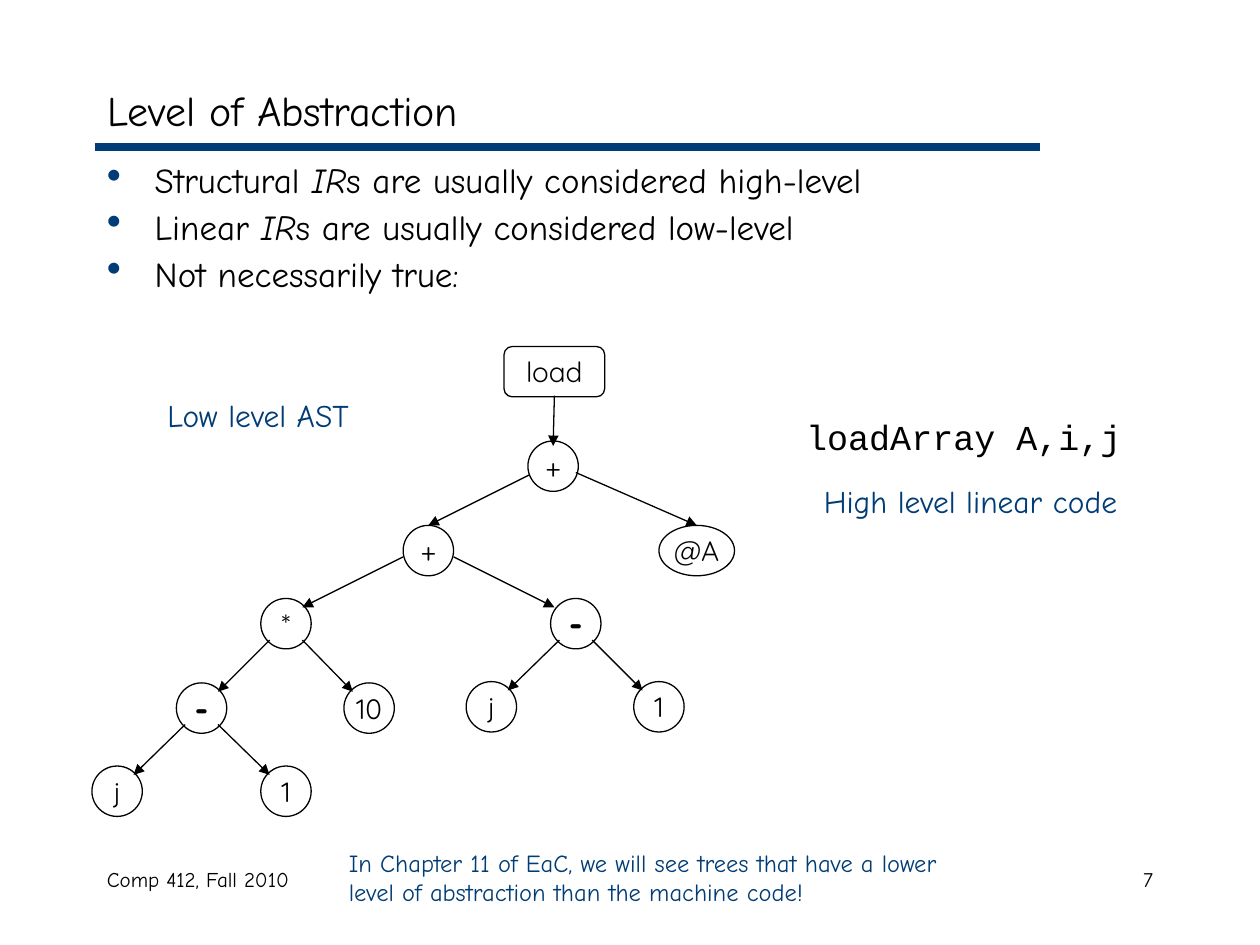
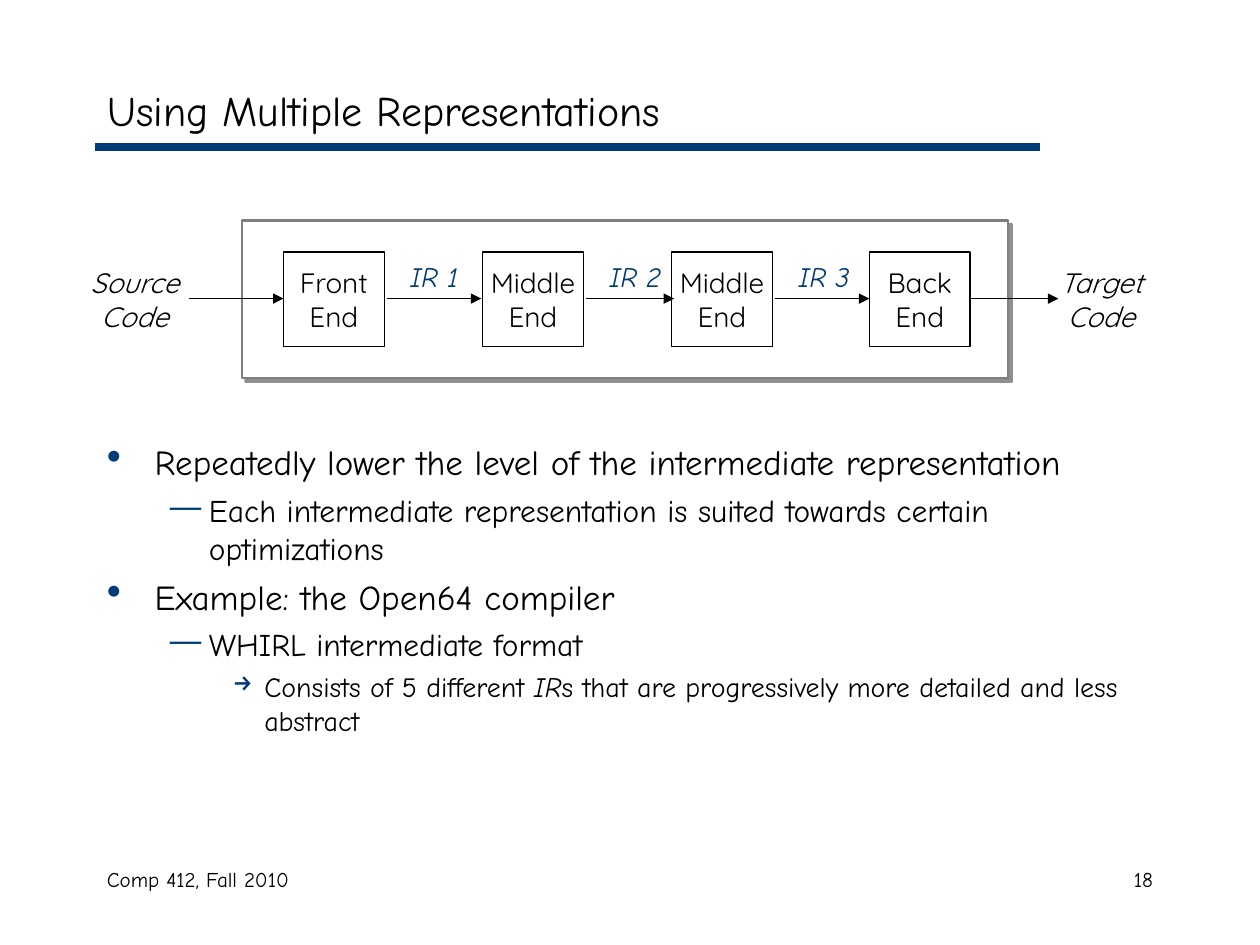
import lxml.etree
import pptx
import pptx.dml.color
import pptx.enum.shapes
import pptx.enum.text
import pptx.oxml.ns
import pptx.util

Inches = pptx.util.Inches
Pt = pptx.util.Pt
Shape = pptx.enum.shapes.MSO_SHAPE
Align = pptx.enum.text.PP_ALIGN
Anchor = pptx.enum.text.MSO_ANCHOR

INK, NAVY, GREY, WHITE = "000000", "003C75", "7F7F7F", "FFFFFF"
PROSE, LABEL, CODE = "Comic Neue", "Quicksand", "Courier New"

BULLETS = [
    dict(char="•", percent=120, margin=0.38, hang=0.38, size=20, before=5),
    dict(char="—", percent=100, margin=0.81, hang=0.31, size=18, before=4.5),
    dict(char="→", percent=90, margin=1.25, hang=0.25, size=16, before=4),
]


def color(code):
    """Turn a hex string into a colour."""
    return pptx.dml.color.RGBColor.from_string(code)


def apply(target, **values):
    """Set each given attribute on the target."""
    for name, value in values.items():
        setattr(target, name, value)


def child(parent, tag, **attributes):
    """Append a drawing element to the parent."""
    values = {name: str(value) for name, value in attributes.items()}
    return lxml.etree.SubElement(parent, pptx.oxml.ns.qn(tag), values)


class Deck:
    """Hold the shared style and the current slide."""

    def __init__(self):
        """Start an empty presentation."""
        self.file = pptx.Presentation()
        apply(self.file, slide_width=Inches(10), slide_height=Inches(7.5))
        self.slide = None

    def start(self, heading, number):
        """Add a slide with its title, rule and footer."""
        self.slide = self.file.slides.add_slide(self.file.slide_layouts[5])
        self.arrow((0.75, 1.17), (8.25, 1.17), NAVY, 4.5, head=False)
        self.text("Comp 412, Fall 2010", 0.75, 6.83, 3.17, 0.5, size=12)
        self.text(str(number), 7.17, 6.83, 2.08, 0.5, size=12, align=Align.RIGHT)
        title = self.slide.shapes.title
        apply(title, left=Inches(0.75), top=Inches(0.58),
              width=Inches(8.5), height=Inches(0.58))
        self.fill_frame(title.text_frame, heading, size=24, anchor=Anchor.MIDDLE)

    def add_runs(self, paragraph, content, size, font, ink):
        """Write content, with parts between underscores in italics."""
        for index, part in enumerate(content.split("_")):
            if part:
                run = paragraph.add_run()
                run.text = part
                apply(run.font, name=font, size=Pt(size), bold=False, italic=index % 2 == 1)
                run.font.color.rgb = color(ink)

    def fill_frame(self, frame, content, size=16, font=PROSE, ink=INK, bold=False,
                   align=Align.LEFT, anchor=Anchor.TOP, wrap=True):
        """Write each line of content as a paragraph."""
        apply(frame, word_wrap=wrap, vertical_anchor=anchor,
              auto_size=pptx.enum.text.MSO_AUTO_SIZE.NONE)
        for index, line in enumerate(content.split("\n")):
            paragraph = frame.add_paragraph() if index else frame.paragraphs[0]
            paragraph.alignment = align
            self.add_runs(paragraph, line, size, font, ink)
            for run in paragraph.runs:
                run.font.bold = bold

    def text(self, content, left, top, width, height, **style):
        """Add a text box."""
        box = self.slide.shapes.add_textbox(*map(Inches, (left, top, width, height)))
        self.fill_frame(box.text_frame, content, **style)

    def bullets(self, items, top, height, spacing=1.0):
        """Add a bulleted list of (level, content) items."""
        box = self.slide.shapes.add_textbox(*map(Inches, (0.75, top, 8.5, height)))
        box.text_frame.word_wrap = True
        for index, (level, content) in enumerate(items):
            kind = BULLETS[level]
            paragraph = box.text_frame.add_paragraph() if index else box.text_frame.paragraphs[0]
            layout = paragraph._p.get_or_add_pPr()
            layout.set("marL", str(Inches(kind["margin"])))
            layout.set("indent", str(-Inches(kind["hang"])))
            child(child(layout, "a:buClr"), "a:srgbClr", val=NAVY)
            child(layout, "a:buSzPct", val=kind["percent"] * 1000)
            child(layout, "a:buChar", char=kind["char"])
            apply(paragraph, level=level, line_spacing=spacing,
                  space_before=Pt(kind["before"] if index else 0))
            self.add_runs(paragraph, content, kind["size"], PROSE, INK)

    def shape(self, form, left, top, width, height, content="", fill=None,
              edge=INK, weight=0.75, **style):
        """Add an outlined shape with centred text."""
        item = self.slide.shapes.add_shape(form, *map(Inches, (left, top, width, height)))
        item.shadow.inherit = False
        if fill:
            item.fill.solid()
            item.fill.fore_color.rgb = color(fill)
        else:
            item.fill.background()
        item.line.color.rgb = color(edge)
        item.line.width = Pt(weight)
        if content:
            apply(item.text_frame, margin_left=0, margin_right=0, margin_top=0, margin_bottom=0)
            self.fill_frame(item.text_frame, content, font=LABEL, align=Align.CENTER,
                            anchor=Anchor.MIDDLE, wrap=False, **style)
        return item

    def panel(self, left, top, width, height):
        """Add a white panel with a hard shadow."""
        item = self.shape(Shape.RECTANGLE, left, top, width, height,
                          fill=WHITE, edge=GREY, weight=1.5)
        effects = item.element.spPr.find(pptx.oxml.ns.qn("a:effectLst"))
        shadow = child(effects, "a:outerShdw", blurRad=0, dist=Pt(3),
                       dir=45 * 60000, algn="ctr", rotWithShape=0)
        child(child(shadow, "a:srgbClr", val=INK), "a:alpha", val=43000)

    def arrow(self, begin, end, ink=INK, weight=0.75, head=True):
        """Add a straight line, with an arrowhead unless told otherwise."""
        line = self.slide.shapes.add_connector(
            pptx.enum.shapes.MSO_CONNECTOR.STRAIGHT, *map(Inches, (*begin, *end)))
        line.line.color.rgb = color(ink)
        line.line.width = Pt(weight)
        properties = line.element.spPr
        if head:
            child(properties.find(pptx.oxml.ns.qn("a:ln")), "a:tailEnd", type="triangle")
        child(properties, "a:effectLst")

    def edge(self, parent, descendant, leave, reach):
        """Point from a tree node to its child, mirrored by side."""
        side = 1 if descendant[0] > parent[0] else -1
        self.arrow((parent[0] + side * leave[0], parent[1] + leave[1]),
                   (descendant[0] - side * reach[0], descendant[1] - reach[1]))


def abstraction_slide(deck):
    """Build the slide on levels of abstraction."""
    deck.start("Level of Abstraction", 7)
    deck.bullets([(0, "Structural _IR_s are usually considered high-level"),
                  (0, "Linear _IR_s are usually considered low-level"),
                  (0, "Not necessarily true:")], 1.25, 1.35, spacing=0.9)

    corner, top = (0.13, 0.13), (0, 0.2)
    tree = {
        "load": ("load", 4.4, 2.95, None, None, None),
        "address": ("+", 4.39, 3.7, "load", (0, 0.19), (0, 0.16)),
        "offset": ("+", 3.4, 4.37, "address", (0.19, 0.07), top),
        "base": ("@A", 5.53, 4.37, "address", (0.18, 0.05), top),
        "product": ("*", 2.27, 4.95, "offset", (0.2, 0.05), corner),
        "column": ("-", 4.57, 4.95, "offset", (0.2, 0.05), (0.17, 0.13)),
        "row": ("-", 1.6, 5.62, "product", corner, corner),
        "row size": ("10", 2.93, 5.62, "product", corner, corner),
        "column index": ("j", 3.9, 5.61, "column", corner, corner),
        "column origin": ("1", 5.23, 5.61, "column", corner, corner),
        "row index": ("j", 0.93, 6.28, "row", corner, corner),
        "row origin": ("1", 2.27, 6.28, "row", corner, corner),
    }
    widths = {"load": 0.8, "base": 0.6}
    for name, (label, x, y, parent, leave, reach) in tree.items():
        width = widths.get(name, 0.4)
        form = Shape.OVAL if parent else Shape.ROUNDED_RECTANGLE
        minus = label == "-"
        deck.shape(form, x - width / 2, y - 0.2, width, 0.4, label,
                   size=20 if minus else 16, bold=minus)
        if parent:
            deck.edge(tree[parent][1:3], (x, y), leave, reach)

    caption = dict(size=18, ink=NAVY, wrap=False)
    deck.text("Low level AST", 1.23, 3.09, 1.65, 0.4, **caption)
    deck.text("loadArray A,i,j", 6.3, 3.25, 2.7, 0.44, size=20, font=CODE, wrap=False)
    deck.text("High level linear code", 6.44, 3.78, 2.6, 0.4, **caption)
    deck.text("In Chapter 11 of EaC, we will see trees that have a lower level of "
              "abstraction than the machine code!", 2.67, 6.68, 5, 0.57, size=14, ink=NAVY)


def representations_slide(deck):
    """Build the slide on multiple representations."""
    deck.start("Using Multiple Representations", 18)
    deck.bullets([
        (0, "Repeatedly lower the level of the intermediate representation"),
        (1, "Each intermediate representation is suited towards certain optimizations"),
        (0, "Example: the Open64 compiler"),
        (1, "WHIRL intermediate format"),
        (2, "Consists of 5 different_ IR_s that are progressively more detailed "
            "and less abstract"),
    ], 3.45, 3.21)

    deck.panel(1.92, 1.75, 6.08, 1.25)
    stages = [("Front", 2.25), ("Middle", 3.83), ("Middle", 5.33), ("Back", 6.9)]
    for stage, left in stages:
        deck.shape(Shape.RECTANGLE, left, 2, 0.8, 0.75, f"{stage}\nEnd")
    for number, (_, left) in enumerate(stages[:-1], 1):
        deck.text(f"_IR {number}_", left + 0.91, 2.01, 0.6, 0.37, ink=NAVY, wrap=False)
    for begin, end in [(1.5, 2.25), (3.07, 3.82), (4.65, 5.35), (6.15, 6.9), (7.7, 8.4)]:
        deck.arrow((begin, 2.37), (end, 2.37))
    for program, left in [("Source", 0.58), ("Target", 8.25)]:
        deck.text(f"_{program}_\n_Code_", left, 2, 0.98, 0.75, font=LABEL,
                  align=Align.CENTER, anchor=Anchor.MIDDLE, wrap=False)


def main():
    """Build and save the deck."""
    deck = Deck()
    abstraction_slide(deck)
    representations_slide(deck)
    deck.file.save("out.pptx")


if __name__ == "__main__":
    main()
